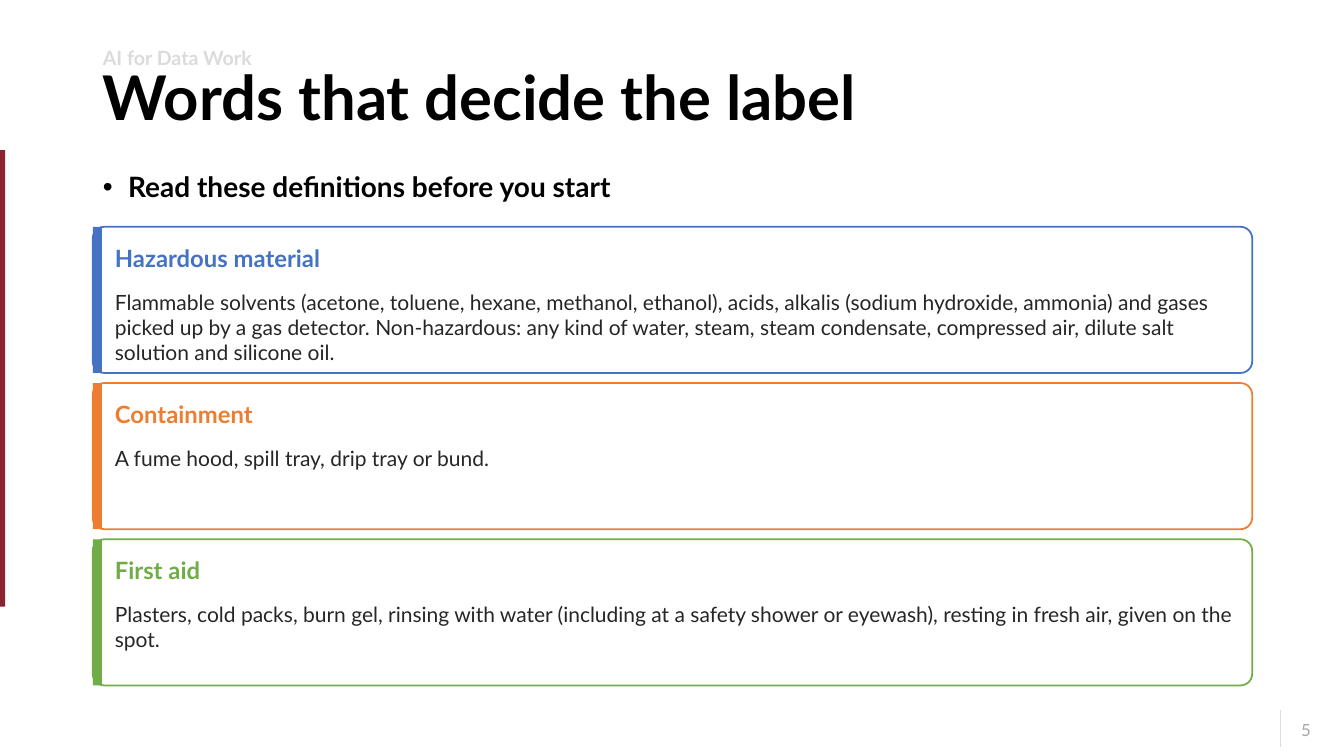
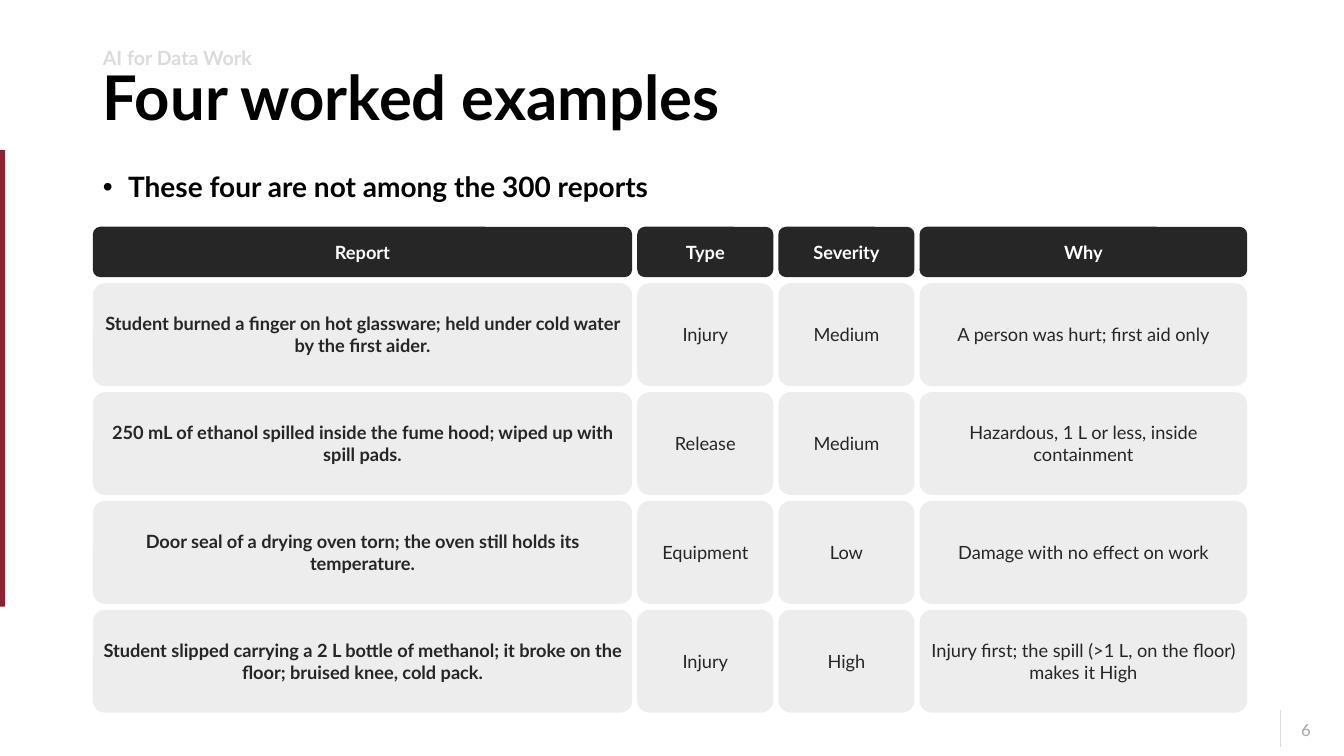
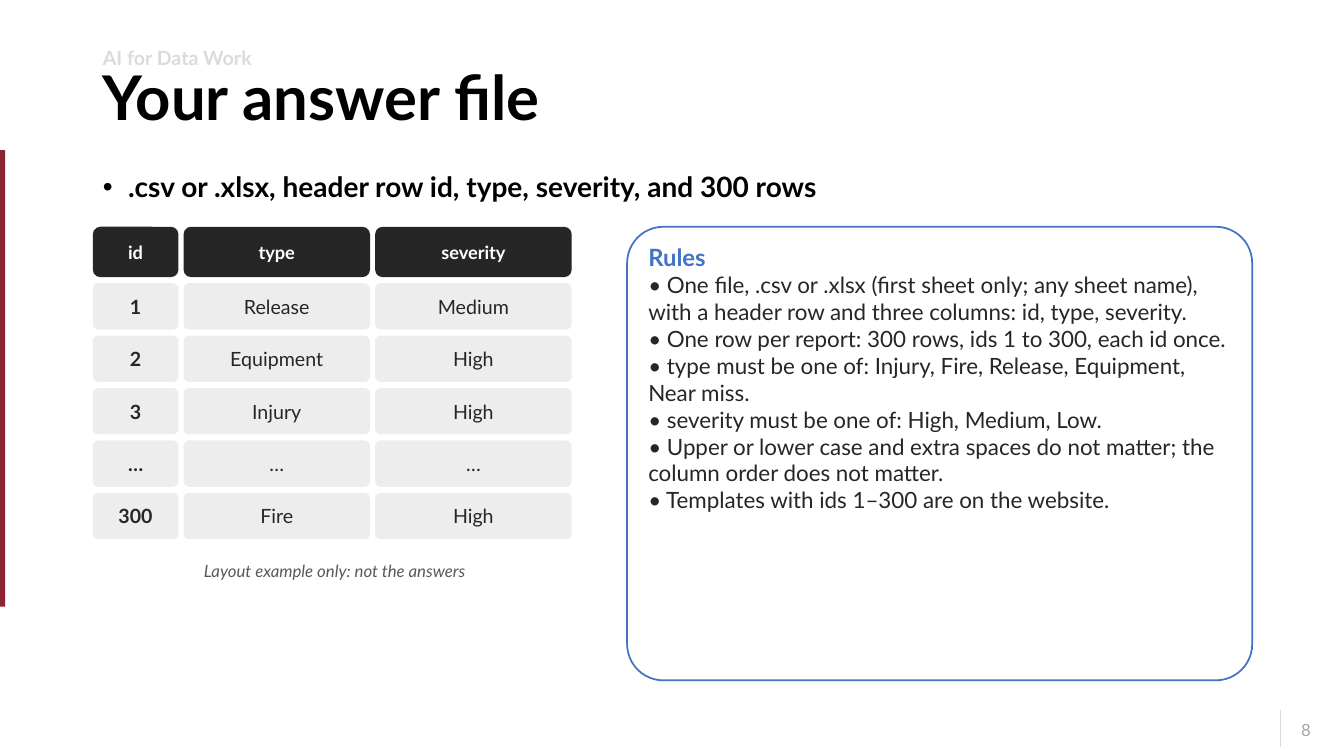
"""Builds three lesson slides: label definitions, worked examples and the answer file."""
from itertools import accumulate

from lxml.etree import SubElement
from pptx import Presentation
from pptx.dml.color import RGBColor
from pptx.enum.shapes import MSO_CONNECTOR, MSO_SHAPE
from pptx.enum.text import MSO_ANCHOR, MSO_AUTO_SIZE, PP_ALIGN
from pptx.oxml.ns import qn
from pptx.util import Inches, Pt

COLORS = {
    "title": "000000", "text": "262626", "note": "595959", "page": "A6A6A6",
    "pale": "DBDBDB", "cell": "EDEDED", "white": "FFFFFF", "band": "8B2331",
    "blue": "4472C4", "orange": "ED7D31", "green": "70AD47",
}
FONT = "Lato"
LEFT, TOP, WIDTH = 0.92, 2.25, 11.5
COL_GAP, ROW_GAP, HEAD_H = 0.05, 0.06, 0.5


def add_box(s, kind, x, y, w, h, fill=None, line=None, adj=None):
    """Add a flat preset shape, or a text box when kind is None; lengths in inches."""
    at = [Inches(v) for v in (x, y, w, h)]
    if kind is None:
        return s.shapes.add_textbox(*at)
    sp = s.shapes.add_shape(kind, *at)
    sp.shadow.inherit = False
    sp.fill.solid()
    sp.fill.fore_color.rgb = RGBColor.from_string(COLORS[fill])
    if line:
        sp.line.color.rgb = RGBColor.from_string(COLORS[line])
        sp.line.width = Pt(1.25)
    else:
        sp.line.fill.background()
    if adj:
        sp.adjustments[0] = adj
    return sp


def write(sp, lines, align=PP_ALIGN.LEFT, anchor=MSO_ANCHOR.TOP, inset=None,
          spacing=None, italic=False):
    """Fill a shape with (text, size, colour, bold) lines and return its first paragraph."""
    tf = sp.text_frame
    tf.word_wrap = True
    tf.auto_size = MSO_AUTO_SIZE.NONE
    tf.vertical_anchor = anchor
    if inset is not None:
        tf.margin_left = tf.margin_right = tf.margin_top = tf.margin_bottom = Inches(inset)
    for i, (text, size, color, bold) in enumerate(lines):
        p = tf.add_paragraph() if i else tf.paragraphs[0]
        p.alignment = align
        p.space_before = Pt(0)
        if spacing:
            p.line_spacing = spacing
        r = p.add_run()
        r.text = text
        r.font.name = FONT
        r.font.size = Pt(size)
        r.font.bold = bold
        r.font.italic = italic
        r.font.color.rgb = RGBColor.from_string(COLORS[color])
    return tf.paragraphs[0]


prs = Presentation()
prs.slide_width, prs.slide_height = Inches(13.33), Inches(7.5)

layout = prs.slide_layouts.get_by_name("Two Content")
places = [(0.63, WIDTH, 0.73), (1.55, WIDTH, 0.55), (0.43, 8.4, 0.26)]
for ph, (y, w, h) in zip(layout.placeholders, places):
    ph.left, ph.top, ph.width, ph.height = [Inches(v) for v in (LEFT, y, w, h)]

pages = [
    ("5", "Words that decide the label", "Read these definitions before you start"),
    ("6", "Four worked examples", "These four are not among the 300 reports"),
    ("8", "Your answer file", ".csv or .xlsx, header row id, type, severity, and 300 rows"),
]
slides = [prs.slides.add_slide(layout) for _ in pages]
words, examples, answer = slides

band = add_box(words, MSO_SHAPE.RECTANGLE, 0, 1.49, 0.05, 4.53, "band")
rule = words.shapes.add_connector(
    MSO_CONNECTOR.STRAIGHT, Inches(12.7), Inches(7.04), Inches(12.7), Inches(7.41))
rule.line.color.rgb = RGBColor.from_string(COLORS["pale"])
rule.line.width = Pt(0.5)
SubElement(rule.element.spPr, qn("a:effectLst"))
for n, sp in enumerate((band, rule), 20):
    sp.element.xpath(".//p:cNvPr")[0].set("id", str(n))
    layout.shapes.element.append(sp.element)

for s, (number, title, lead) in zip(slides, pages):
    title_ph, lead_ph, course_ph = s.placeholders
    write(title_ph, [(title, 44, "title", True)], anchor=MSO_ANCHOR.MIDDLE, spacing=0.9)
    p = write(lead_ph, [(lead, 20, "title", True)], spacing=1.25)
    pPr = p._p.get_or_add_pPr()
    pPr.set("marL", str(Inches(0.25)))
    pPr.set("indent", str(Inches(-0.25)))
    SubElement(pPr, qn("a:buChar")).set("char", "•")
    p = write(course_ph, [("AI for Data Work", 14, "pale", True)], spacing=0.9)
    pPr = p._p.get_or_add_pPr()
    pPr.set("marL", "0")
    pPr.set("indent", "0")
    SubElement(pPr, qn("a:buNone"))
    write(add_box(s, None, 12.35, 7.09, 0.75, 0.4), [(number, 12, "page", False)],
          PP_ALIGN.RIGHT)

definitions = [
    ("Hazardous material", "blue",
     "Flammable solvents (acetone, toluene, hexane, methanol, ethanol), acids, alkalis "
     "(sodium hydroxide, ammonia) and gases picked up by a gas detector. Non-hazardous: "
     "any kind of water, steam, steam condensate, compressed air, dilute salt solution "
     "and silicone oil."),
    ("Containment", "orange", "A fume hood, spill tray, drip tray or bund."),
    ("First aid", "green",
     "Plasters, cold packs, burn gel, rinsing with water (including at a safety shower "
     "or eyewash), resting in fresh air, given on the spot."),
]
CARD_H, CARD_GAP = 1.45, 0.1
for i, (term, color, meaning) in enumerate(definitions):
    y = TOP + i * (CARD_H + CARD_GAP)
    add_box(words, MSO_SHAPE.ROUNDED_RECTANGLE, LEFT, y, WIDTH, CARD_H, "white", color, 0.08)
    add_box(words, MSO_SHAPE.RECTANGLE, LEFT, y, 0.09, CARD_H, color)
    write(add_box(words, None, LEFT + 0.16, y + 0.06, 11.28, 0.5),
          [(term, 17, color, True)], anchor=MSO_ANCHOR.MIDDLE, inset=0.06)
    write(add_box(words, None, LEFT + 0.16, y + 0.56, 11.26, 0.85),
          [(meaning, 15, "text", False)], inset=0.06)

example_rows = [
    ("Report", "Type", "Severity", "Why"),
    ("Student burned a finger on hot glassware; held under cold water by the first aider.",
     "Injury", "Medium", "A person was hurt; first aid only"),
    ("250 mL of ethanol spilled inside the fume hood; wiped up with spill pads.",
     "Release", "Medium", "Hazardous, 1 L or less, inside containment"),
    ("Door seal of a drying oven torn; the oven still holds its temperature.",
     "Equipment", "Low", "Damage with no effect on work"),
    ("Student slipped carrying a 2 L bottle of methanol; it broke on the floor; "
     "bruised knee, cold pack.",
     "Injury", "High", "Injury first; the spill (>1 L, on the floor) makes it High"),
]
answer_rows = [
    ("id", "type", "severity"),
    ("1", "Release", "Medium"),
    ("2", "Equipment", "High"),
    ("3", "Injury", "High"),
    ("…", "…", "…"),
    ("300", "Fire", "High"),
]
grids = [
    (examples, example_rows, (5.35, 1.35, 1.35, 3.25), 1.02, 13),
    (answer, answer_rows, (0.85, 1.85, 1.95), 0.46, 14),
]
for s, rows, widths, row_h, size in grids:
    lefts = list(accumulate((w + COL_GAP for w in widths), initial=LEFT))
    for i, row in enumerate(rows):
        head = i == 0
        h = HEAD_H if head else row_h
        y = TOP if head else TOP + HEAD_H + ROW_GAP + (i - 1) * (row_h + ROW_GAP)
        for j, text in enumerate(row):
            sp = add_box(s, MSO_SHAPE.ROUNDED_RECTANGLE, lefts[j], y, widths[j], h,
                         "text" if head else "cell", adj=0.15 if head else 0.12)
            style = (13, "white", True) if head else (size, "text", j == 0)
            write(sp, [(text, *style)], PP_ALIGN.CENTER, MSO_ANCHOR.MIDDLE,
                  0.03 if head else 0.04)

write(add_box(answer, None, LEFT, 5.5, 4.8, 0.5),
      [("Layout example only: not the answers", 12, "note", False)],
      PP_ALIGN.CENTER, inset=0.06, italic=True)

rules = [
    "• One file, .csv or .xlsx (first sheet only; any sheet name), with a header row and "
    "three columns: id, type, severity.",
    "• One row per report: 300 rows, ids 1 to 300, each id once.",
    "• type must be one of: Injury, Fire, Release, Equipment, Near miss.",
    "• severity must be one of: High, Medium, Low.",
    "• Upper or lower case and extra spaces do not matter; the column order does not matter.",
    "• Templates with ids 1–300 are on the website.",
]
add_box(answer, MSO_SHAPE.ROUNDED_RECTANGLE, 6.22, TOP, 6.2, 4.5, "white", "blue", 0.08)
write(add_box(answer, None, 6.37, TOP + 0.1, 5.9, 4.3),
      [("Rules", 17, "blue", True)] + [(rule_text, 16, "text", False) for rule_text in rules],
      inset=0.06)

prs.save("out.pptx")
